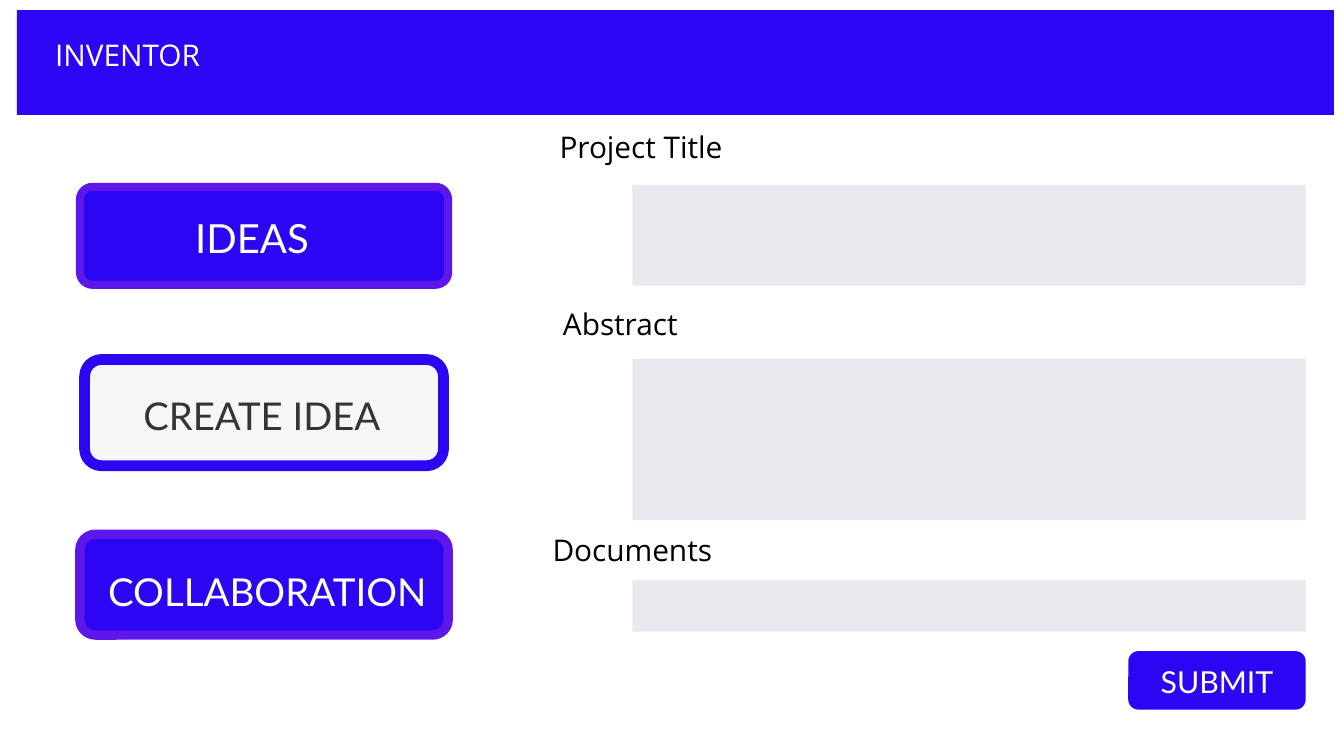
import pptx
import pptx.dml.color
import pptx.enum.shapes
import pptx.enum.text
import pptx.util

# Each type size comes with its line height, in points
THEME = {
    "blue": "2C05F2", "violet": "5E17EB", "pale": "F6F6F6", "field": "E7E9EC",
    "white": "FFFFFF", "black": "000000", "dark": "343434",
    "plain_font": "Open Sans", "button_font": "Lato",
    "label": (16, 22.4), "ideas": (21.5, 30.1), "create": (20.5, 30.1),
    "collaboration": (20.6, 28.9), "submit": (16.2, 22.8),
}
SHAPE = pptx.enum.shapes.MSO_SHAPE

deck = pptx.Presentation()
deck.slide_width = pptx.util.Inches(10)
deck.slide_height = deck.slide_width * 9 // 16
page = deck.slides.add_slide(deck.slide_layouts[5])
COLUMN = deck.slide_width / 100
ROW = deck.slide_height / 56.25


def add_block(left, top, width, height, fill, radius=0, line=None, line_width=0):
    """Draw a rectangle in grid units, rounded when it has a radius."""
    kind = SHAPE.ROUNDED_RECTANGLE if radius else SHAPE.RECTANGLE
    block = page.shapes.add_shape(kind, int(left * COLUMN), int(top * ROW),
                                  int(width * COLUMN), int(height * ROW))
    block.shadow.inherit = False
    block.fill.solid()
    block.fill.fore_color.rgb = pptx.dml.color.RGBColor.from_string(THEME[fill])
    if radius:
        block.adjustments[0] = radius / height
    if line:
        block.line.color.rgb = pptx.dml.color.RGBColor.from_string(THEME[line])
        block.line.width = int(line_width * COLUMN)
    else:
        block.line.fill.background()
    return block


def set_caption(box, place, text, size, font, color):
    """Place a text shape in grid units and format its one centred line."""
    left, top, width, height = place
    box.left, box.top = int(left * COLUMN), int(top * ROW)
    box.width, box.height = int(width * COLUMN), int(height * ROW)
    frame = box.text_frame
    frame.text = text
    frame.word_wrap = True
    frame.auto_size = pptx.enum.text.MSO_AUTO_SIZE.NONE
    frame.vertical_anchor = pptx.enum.text.MSO_ANCHOR.TOP
    frame.margin_left = frame.margin_right = frame.margin_top = frame.margin_bottom = 0
    type_size, line_height = THEME[size]
    para = frame.paragraphs[0]
    para.alignment = pptx.enum.text.PP_ALIGN.CENTER
    para.line_spacing = pptx.util.Pt(line_height)
    span = para.runs[0]
    span.font.size = pptx.util.Pt(type_size)
    span.font.name = THEME[font]
    span.font.color.rgb = pptx.dml.color.RGBColor.from_string(THEME[color])


# Header band, with the title in front of it
header = add_block(1.25, 0.75, 98, 7.8, "blue")
title = page.shapes.title
header.element.addnext(title.element)
set_caption(title, (3.5, 2.3, 12, 3.1), "INVENTOR", "label", "plain_font", "white")

# Menu and submit buttons: outline, then caption
buttons = [
    ((5.95, 13.9, 27.4, 7.3, "blue", 0.95, "violet", 0.6),
     (3.3, 15.3, 30.9, 4.2), "IDEAS", "ideas", "white"),
    ((6.3, 26.75, 26.7, 7.9, "pale", 1.25, "blue", 0.8),
     (9.5, 28.4, 20, 4.2), "CREATE IDEA", "create", "dark"),
    ((5.95, 39.75, 27.4, 7.5, "blue", 1.15, "violet", 0.7),
     (6.7, 41.7, 26.4, 4.1), "COLLABORATION", "collaboration", "white"),
    ((83.95, 48.45, 13.2, 4.35, "blue", 0.75),
     (85, 48.9, 11.1, 3.2), "SUBMIT", "submit", "white"),
]
for outline, place, text, size, color in buttons:
    add_block(*outline)
    set_caption(page.shapes.add_textbox(0, 0, 0, 0), place, text, size, "button_font", color)

# Form: a label above each entry field
fields = [
    ("Project Title", 47.7, 13.7, 9.1, 13.75, 7.5),
    ("Abstract", 46.15, 19.8, 22.3, 26.7, 12),
    ("Documents", 47.05, 19.8, 39.1, 43.15, 3.85),
]
for text, center, label_width, label_top, field_top, field_height in fields:
    add_block(47.05, field_top, 50.1, field_height, "field")
    place = (center - label_width / 2, label_top, label_width, 3.1)
    set_caption(page.shapes.add_textbox(0, 0, 0, 0), place, text, "label", "plain_font", "black")

deck.save("out.pptx")
